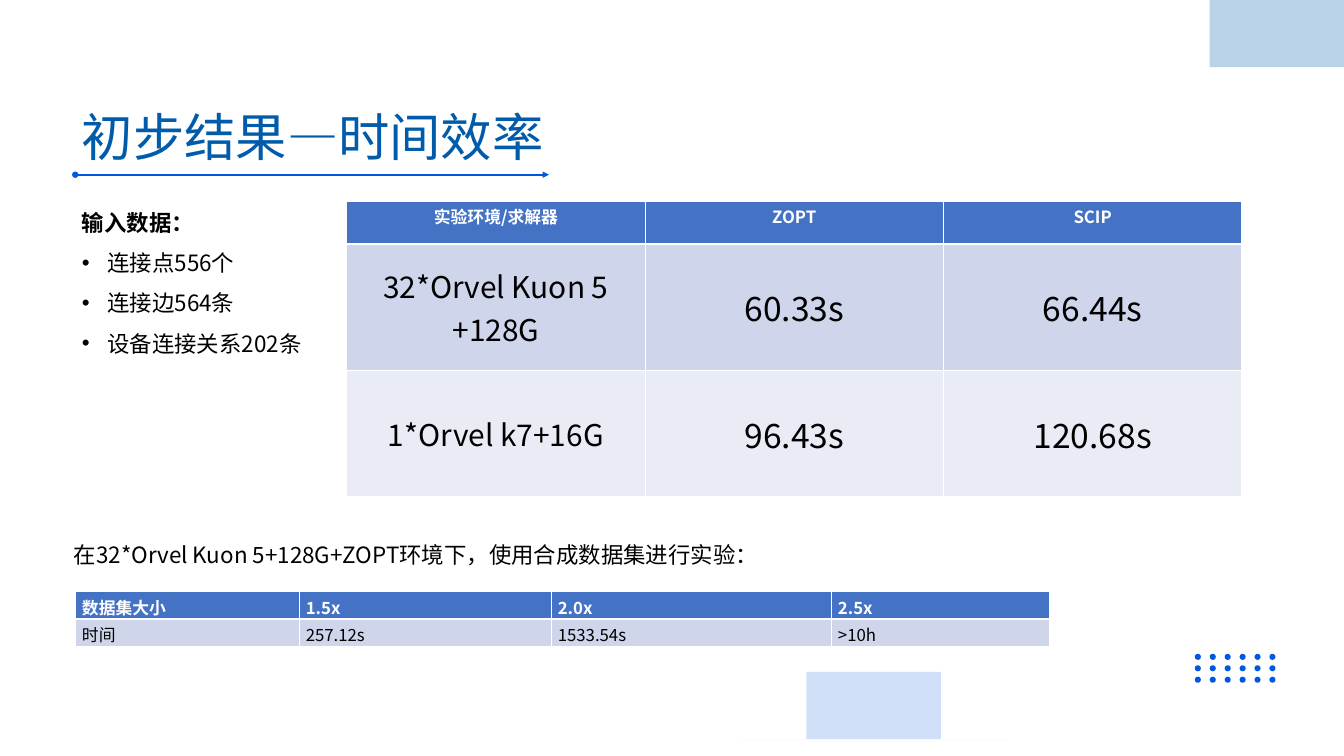
from math import cos, sin, radians
from lxml.etree import SubElement
from pptx import Presentation
from pptx.dml.color import RGBColor
from pptx.enum.shapes import MSO_CONNECTOR as Connector, MSO_SHAPE as Shape
from pptx.enum.text import MSO_ANCHOR as Anchor, MSO_AUTO_SIZE as AutoSize, PP_ALIGN as Align
from pptx.oxml.ns import qn
from pptx.util import Inches, Pt

# Content
TITLE = "初步结果—时间效率"
INPUT_HEADING = "输入数据："
INPUT_ITEMS = ["连接点556个", "连接边564条", "设备连接关系202条"]
SOLVER_ROWS = [
    ["实验环境/求解器", "ZOPT", "SCIP"],
    ["32*Orvel Kuon 5\n+128G", "60.33s", "66.44s"],
    ["1*Orvel k7+16G", "96.43s", "120.68s"],
]
SCALE_NOTE = "在32*Orvel Kuon 5+128G+ZOPT环境下，使用合成数据集进行实验："
SCALE_ROWS = [
    ["数据集大小", "1.5x", "2.0x", "2.5x"],
    ["时间", "257.12s", "1533.54s", ">10h"],
]

THEME = {
    "font": "Noto Sans CJK SC",
    "title": "005BAB", "accent": "0058E0", "text": "000000", "white": "FFFFFF",
    "header": "4472C4", "bands": ["CFD5EA", "E9EBF5"],
    "title_size": 55, "body_size": 24, "table_size": 18, "name_size": 32, "value_size": 36,
}
WIDTH, HEIGHT = 20, 11.25

deck = Presentation()
deck.slide_width, deck.slide_height = Inches(WIDTH), Inches(HEIGHT)
page = deck.slides.add_slide(deck.slide_layouts[6])


def color(name):
    return RGBColor.from_string(THEME.get(name, name))


def paint(shape, name, opacity=None):
    shape.shadow.inherit = False
    shape.fill.solid()
    shape.fill.fore_color.rgb = color(name)
    shape.line.fill.background()
    if opacity:
        tint = shape.fill._xPr.find(qn("a:solidFill"))[0]
        SubElement(tint, qn("a:alpha"), val=str(opacity * 1000))


def add_disc(cx, cy, radius, name, opacity):
    """Draw a disc cut off at the slide edges."""
    points = [(min(max(cx + radius * cos(radians(a)), 0), WIDTH),
               min(max(cy + radius * sin(radians(a)), 0), HEIGHT)) for a in range(0, 360, 2)]
    builder = page.shapes.build_freeform(*points[0], scale=Inches(1))
    builder.add_line_segments(points[1:], close=True)
    paint(builder.convert_to_shape(), name, opacity)


def add_span(para, text, size, name="text", bold=False):
    span = para.add_run()
    span.text = text
    font = span.font
    font.name, font.size, font.bold = THEME["font"], Pt(size), bold
    font.color.rgb = color(name)
    SubElement(font._element, qn("a:ea"), typeface=THEME["font"])


def add_box(left, top, width, height, anchor=Anchor.MIDDLE):
    box = page.shapes.add_textbox(Inches(left), Inches(top), Inches(width), Inches(height))
    frame = box.text_frame
    frame.word_wrap = True
    frame.auto_size = AutoSize.SHAPE_TO_FIT_TEXT
    frame.vertical_anchor = anchor
    return frame


def set_borders(cell, top, bottom):
    props = cell._tc.get_or_add_tcPr()
    for side, width in (("L", 1), ("R", 1), ("T", top), ("B", bottom)):
        edge = SubElement(props, qn(f"a:ln{side}"), w=str(Pt(width)))
        fill = SubElement(edge, qn("a:solidFill"))
        SubElement(fill, qn("a:srgbClr"), val=THEME["white"])


def add_table(rows, left, top, widths, heights, sizes, align, body_anchor):
    table = page.shapes.add_table(len(rows), len(widths), Inches(left), Inches(top),
                                  Inches(sum(widths)), Inches(sum(heights))).table
    table.first_row = table.horz_banding = False
    for column, width in zip(table.columns, widths):
        column.width = Inches(width)
    for r, (row, height) in enumerate(zip(rows, heights)):
        table.rows[r].height = Inches(height)
        header = r == 0
        for c, text in enumerate(row):
            cell = table.cell(r, c)
            set_borders(cell, 3 if r == 1 else 1, 3 if header else 1)
            cell.fill.solid()
            cell.fill.fore_color.rgb = color("header" if header else THEME["bands"][(r - 1) % 2])
            cell.vertical_anchor = Anchor.TOP if header else body_anchor
            size = THEME["table_size"] if header else sizes[min(c, 1)]
            for i, line in enumerate(text.split("\n")):
                frame = cell.text_frame
                para = frame.add_paragraph() if i else frame.paragraphs[0]
                para.alignment = align
                add_span(para, line, size, "white" if header else "text", header)


# Decoration: bottom disc and dot grid
add_disc(13.05, 11.23, 1.56, "accent", 18)
for row in range(3):
    for column in range(6):
        dot = page.shapes.add_shape(Shape.OVAL, Inches(17.78 + 0.222 * column),
                                    Inches(9.73 + 0.17 * row), Inches(0.09), Inches(0.09))
        paint(dot, "accent")

# Title and its underline
rule = page.shapes.add_connector(Connector.STRAIGHT, Inches(1.12), Inches(2.6),
                                 Inches(8.17), Inches(2.6))
rule.line.color.rgb = color("accent")
rule.line.width = Pt(2.25)
stroke = rule.line._get_or_add_ln()
SubElement(stroke, qn("a:headEnd"), type="oval")
SubElement(stroke, qn("a:tailEnd"), type="triangle")
SubElement(rule._element.spPr, qn("a:effectLst"))

title = add_box(1.13, 1.57, 7.05, 0.93, Anchor.TOP)
title.margin_left = title.margin_right = title.margin_top = title.margin_bottom = 0
para = title.paragraphs[0]
para.alignment = Align.CENTER
para.line_spacing = Pt(66)
add_span(para, TITLE, THEME["title_size"], "title")

# Top right disc
add_disc(19.52, 0, 1.24, "title", 27)

# Input data list
inputs = add_box(1.12, 2.88, 4.73, 2.45)
para = inputs.paragraphs[0]
para.line_spacing = 1.5
add_span(para, INPUT_HEADING, THEME["body_size"], bold=True)
for item in INPUT_ITEMS:
    para = inputs.add_paragraph()
    para.line_spacing = 1.5
    props = para._p.get_or_add_pPr()
    props.set("marL", str(Inches(0.38)))
    props.set("indent", str(-Inches(0.38)))
    SubElement(props, qn("a:buFont"), typeface="Arial")
    SubElement(props, qn("a:buChar"), char="•")
    add_span(para, item, THEME["body_size"])

# Solver comparison
add_table(SOLVER_ROWS, 5.16, 2.99, [4.44] * 3, [0.64, 1.88, 1.88],
          (THEME["name_size"], THEME["value_size"]), Align.CENTER, Anchor.MIDDLE)

# Scaling experiment
note = add_box(1, 8, 11.63, 0.5)
add_span(note.paragraphs[0], SCALE_NOTE, THEME["body_size"])
add_table(SCALE_ROWS, 1.12, 8.8, [3.33, 3.75, 4.17, 3.25], [0.41] * 2,
          (THEME["table_size"],) * 2, Align.LEFT, Anchor.TOP)

deck.save("out.pptx")
